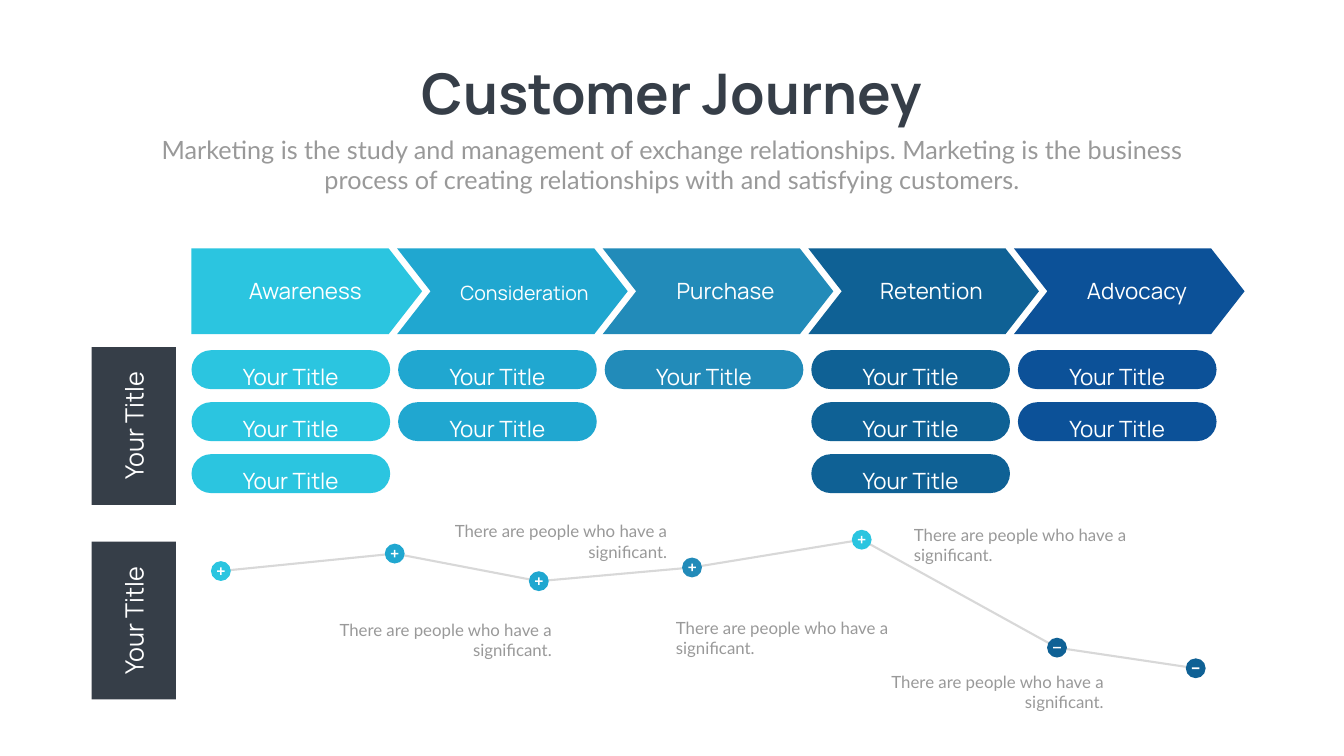
from pptx import Presentation
from pptx.dml.color import RGBColor
from pptx.enum.shapes import MSO_SHAPE
from pptx.enum.text import MSO_ANCHOR, PP_ALIGN
from pptx.util import Cm, Pt

DARK = RGBColor(0x36, 0x3E, 0x48)
GREY = RGBColor(0x99, 0x99, 0x99)
PALE = RGBColor(0xD8, 0xD8, 0xD8)
WHITE = RGBColor(0xFF, 0xFF, 0xFF)
CYAN = RGBColor(0x2B, 0xC5, 0xE0)
SKY = RGBColor(0x20, 0xA7, 0xD0)
STEEL = RGBColor(0x22, 0x8B, 0xB9)
DEEP = RGBColor(0x0F, 0x61, 0x95)
NAVY = RGBColor(0x0C, 0x51, 0x98)

HEAD = "Manrope"
BODY = "Lato"
LABEL = "Your Title"
NOTE = "There are people who have a significant."
INTRO = ("Marketing is the study and management of exchange relationships. "
         "Marketing is the business process of creating relationships with "
         "and satisfying customers.")

LEFT = 9.65
STAGES = [
    ("Awareness", CYAN, 3, 9.17, 13.84, 32),
    ("Consideration", SKY, 2, 20.22, 14.02, 28),
    ("Purchase", STEEL, 1, 30.35, 13.84, 32),
    ("Retention", DEEP, 3, 40.72, 13.84, 32),
    ("Advocacy", NAVY, 2, 51.08, 13.84, 32),
]
DOTS = [
    (11.13, 28.78, CYAN, True),
    (19.89, 27.9, SKY, True),
    (27.15, 29.29, SKY, True),
    (34.87, 28.6, STEEL, True),
    (43.42, 27.2, CYAN, True),
    (53.26, 32.64, DEEP, False),
    (60.25, 33.68, DEEP, False),
]
NOTES = [
    (45.8, 26.31, 12.6, PP_ALIGN.LEFT),
    (14.38, 31.12, 13.67, PP_ALIGN.RIGHT),
    (20.19, 26.14, 13.67, PP_ALIGN.RIGHT),
    (42.19, 33.71, 13.67, PP_ALIGN.RIGHT),
    (33.81, 30.99, 12.6, PP_ALIGN.LEFT),
]


def write(frame, text, size, color, font=HEAD, align=PP_ALIGN.CENTER, bold=False):
    frame.word_wrap = True
    frame.text = text
    line = frame.paragraphs[0]
    line.alignment = align
    for run in line.runs:
        run.font.name = font
        run.font.size = Pt(size)
        run.font.bold = bold
        run.font.color.rgb = color


def add_text(slide, x, y, w, h, text, size, color, **style):
    box = slide.shapes.add_textbox(Cm(x), Cm(y), Cm(w), Cm(h))
    write(box.text_frame, text, size, color, **style)
    return box


def add_solid(slide, kind, x, y, w, h, color, adjust=None):
    shape = slide.shapes.add_shape(kind, Cm(x), Cm(y), Cm(w), Cm(h))
    shape.shadow.inherit = False
    shape.fill.solid()
    shape.fill.fore_color.rgb = color
    shape.line.fill.background()
    if adjust is not None:
        shape.adjustments[0] = adjust
    return shape


def add_pill(slide, x, y, color):
    pill = add_solid(slide, MSO_SHAPE.ROUNDED_RECTANGLE, x, y, 10.01, 1.96, color, 0.5)
    frame = pill.text_frame
    frame.vertical_anchor = MSO_ANCHOR.TOP
    frame.margin_top = Cm(0.38)
    frame.margin_bottom = 0
    write(frame, LABEL, 32, WHITE)


def add_stage(slide, index, name, color, count, x, y, size):
    kind = MSO_SHAPE.CHEVRON if index else MSO_SHAPE.PENTAGON
    add_solid(slide, kind, LEFT + index * 10.36, 12.52, 11.62, 4.32, color, 0.39)
    add_text(slide, x, y, 12.42, 1.63, name, size, WHITE)
    for row in range(count):
        add_pill(slide, LEFT + index * 10.41, 17.65 + row * 2.62, color)


def add_side(slide, y):
    add_solid(slide, MSO_SHAPE.RECTANGLE, 4.62, y, 4.24, 7.95, DARK)
    box = add_text(slide, 2.03, y + 3.06, 9.42, 1.8, LABEL, 36, WHITE)
    box.rotation = 270


def add_path(slide):
    points = [(Cm(x), Cm(y)) for x, y, *_ in DOTS]
    draft = slide.shapes.build_freeform(*points[0])
    draft.add_line_segments(points[1:], close=False)
    path = draft.convert_to_shape()
    path.shadow.inherit = False
    path.fill.background()
    path.line.color.rgb = PALE
    path.line.width = Pt(3)


def add_dot(slide, x, y, color, plus):
    add_solid(slide, MSO_SHAPE.OVAL, x - 0.5, y - 0.5, 1, 1, color)
    if plus:
        add_solid(slide, MSO_SHAPE.CROSS, x - 0.19, y - 0.19, 0.38, 0.38, WHITE, 0.4)
    else:
        add_solid(slide, MSO_SHAPE.RECTANGLE, x - 0.19, y - 0.04, 0.38, 0.08, WHITE)


def main():
    deck = Presentation()
    deck.slide_width = Cm(67.72)
    deck.slide_height = Cm(38.1)
    slide = deck.slides.add_slide(deck.slide_layouts[6])
    add_text(slide, 19.94, 2.84, 27.84, 3.68, "Customer Journey", 80, DARK, bold=True)
    add_text(slide, 7.42, 6.63, 52.88, 3.33, INTRO, 36, GREY, font=BODY)
    for y in (17.5, 27.3):
        add_side(slide, y)
    for index, stage in enumerate(STAGES):
        add_stage(slide, index, *stage)
    add_path(slide)
    for dot in DOTS:
        add_dot(slide, *dot)
    for x, y, width, align in NOTES:
        add_text(slide, x, y, width, 2.31, NOTE, 24, GREY, font=BODY, align=align)
    deck.save("out.pptx")


if __name__ == "__main__":
    main()
